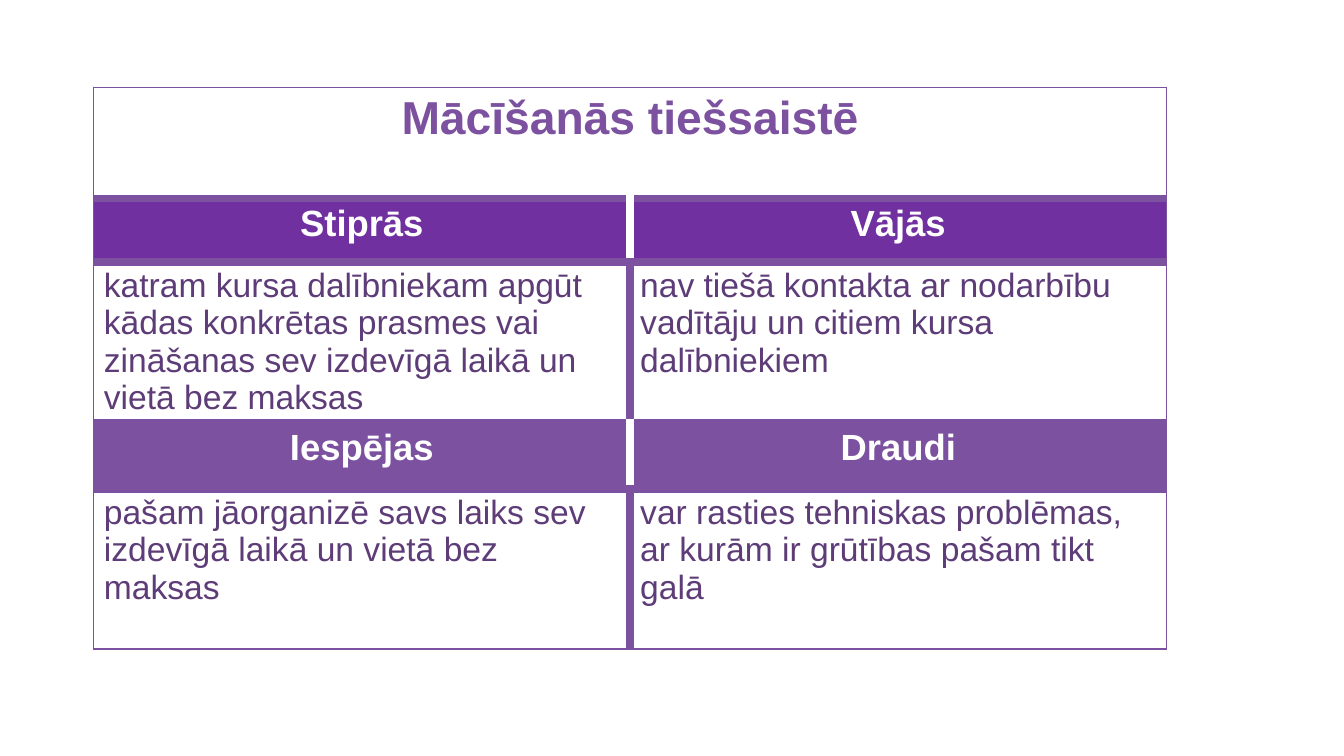
from dataclasses import dataclass

from pptx import Presentation
from pptx.dml.color import RGBColor as Rgb
from pptx.enum.text import PP_ALIGN as Align
from pptx.oxml import parse_xml
from pptx.oxml.ns import nsdecls
from pptx.util import Inches, Pt


@dataclass(frozen=True)
class Theme:
    font: str = "Arial"
    violet: str = "7C51A0"
    deep_violet: str = "7030A0"
    ink: str = "5D3C78"
    white: str = "FFFFFF"
    title_size: int = 33
    heading_size: int = 26
    body_size: int = 24
    thin: int = 1
    thick: int = 6


THEME = Theme()

# Look of each kind of row: size, colour, bold, alignment, divider colour
STYLES = {
    "title": (THEME.title_size, THEME.violet, True, Align.CENTER, THEME.violet),
    "heading": (THEME.heading_size, THEME.white, True, Align.CENTER, THEME.white),
    "body": (THEME.body_size, THEME.ink, False, Align.LEFT, THEME.violet),
}

# Kind of row, height, fill, texts
SWOT_ROWS = [
    ("title", 1.1, None, ["Mācīšanās tiešsaistē", ""]),
    ("heading", 0.63, THEME.deep_violet, ["Stiprās", "Vājās"]),
    ("body", 1.59, None, [
        "katram kursa dalībniekam apgūt kādas konkrētas prasmes vai "
        "zināšanas sev izdevīgā laikā un vietā bez maksas",
        "nav tiešā kontakta ar nodarbību vadītāju un citiem kursa dalībniekiem"]),
    ("heading", 0.66, THEME.violet, ["Iespējas", "Draudi"]),
    ("body", 1.59, None, [
        "pašam jāorganizē savs laiks sev izdevīgā laikā un vietā bez maksas",
        "var rasties tehniskas problēmas, ar kurām ir grūtības pašam tikt galā"]),
]


def set_borders(cell, borders):
    """Draw the cell's sides, given as side: (colour, width)."""
    properties = cell._tc.get_or_add_tcPr()
    for place, (side, (colour, width)) in enumerate(borders.items()):
        properties.insert(place, parse_xml(
            f'<a:ln{side} {nsdecls("a")} w="{Pt(width)}"><a:solidFill>'
            f'<a:srgbClr val="{colour}"/></a:solidFill></a:ln{side}>'))


def write_cell(cell, text, kind, fill):
    size, colour, bold, alignment, _ = STYLES[kind]
    if fill:
        cell.fill.solid()
        cell.fill.fore_color.rgb = Rgb.from_string(fill)
    else:
        cell.fill.background()
    if not text:
        return
    paragraph = cell.text_frame.paragraphs[0]
    paragraph.alignment = alignment
    run = paragraph.add_run()
    run.text = text
    run.font.color.rgb = Rgb.from_string(colour)
    for name, value in {"name": THEME.font, "size": Pt(size), "bold": bold}.items():
        setattr(run.font, name, value)


def add_swot_table(slide, left, top, width):
    height = sum(row[1] for row in SWOT_ROWS)
    table = slide.shapes.add_table(
        len(SWOT_ROWS), 2, *map(Inches, (left, top, width, height))).table
    for option in ("first_row", "horz_banding"):
        setattr(table, option, False)
    for column in table.columns:
        column.width = Inches(width / 2)

    outer, rule = (THEME.violet, THEME.thin), (THEME.violet, THEME.thick)
    last = len(SWOT_ROWS) - 1
    for r, (kind, row_height, fill, texts) in enumerate(SWOT_ROWS):
        table.rows[r].height = Inches(row_height)
        divider = (STYLES[kind][-1], THEME.thick)
        if kind == "title":
            table.cell(r, 0).merge(table.cell(r, 1))
            divider = outer
        for c, text in enumerate(texts):
            cell = table.cell(r, c)
            write_cell(cell, text, kind, fill)
            set_borders(cell, {
                "L": outer if c == 0 else divider,
                "R": divider if c == 0 else outer,
                "T": outer if r == 0 else rule,
                "B": outer if r == last else rule,
            })


def main():
    deck = Presentation()
    deck.slide_width, deck.slide_height = Inches(13.33), Inches(7.5)
    slide = deck.slides.add_slide(deck.slide_layouts[6])
    add_swot_table(slide, left=0.93, top=0.87, width=10.64)
    deck.save("out.pptx")


if __name__ == "__main__":
    main()
